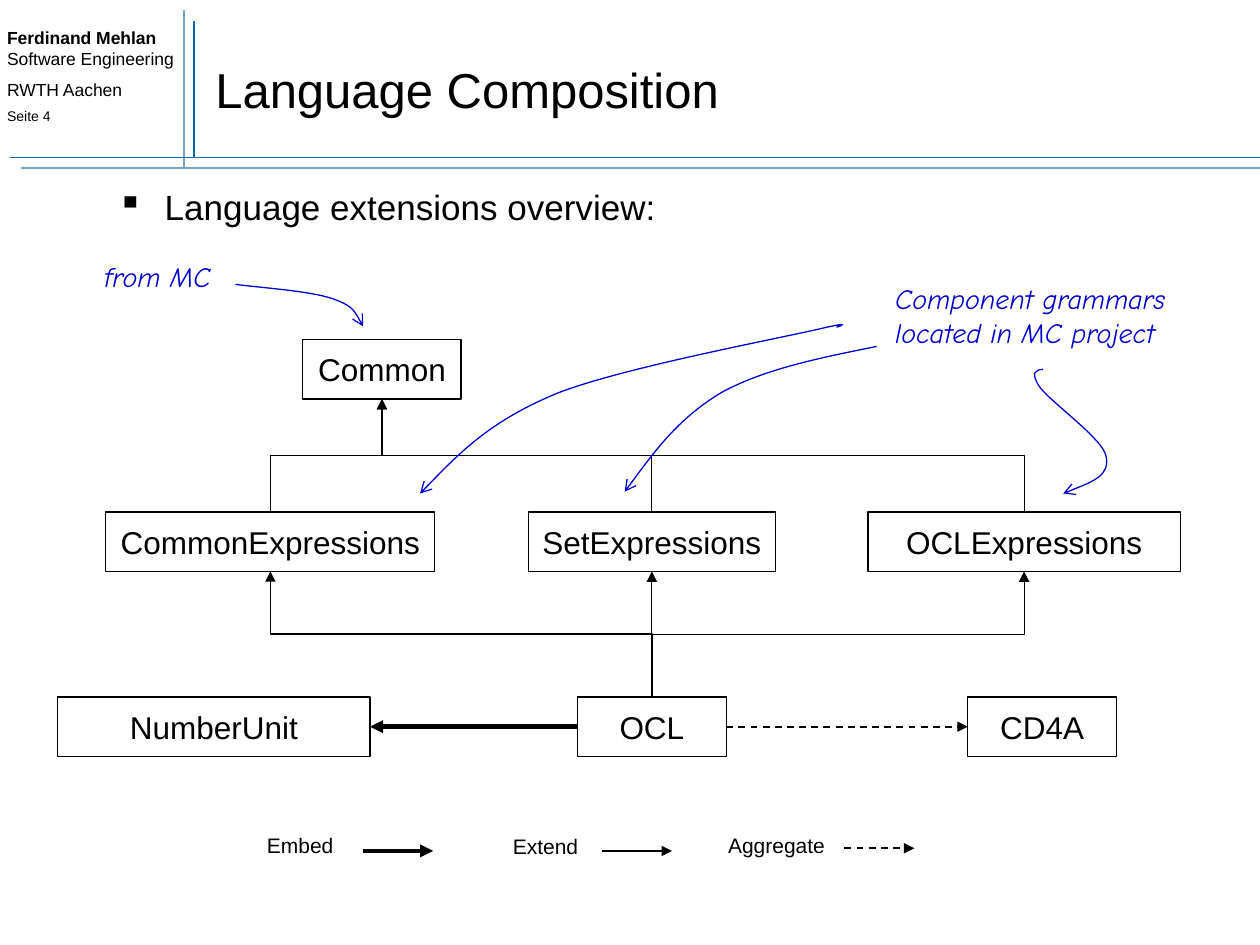
from dataclasses import dataclass
from itertools import chain

from lxml import etree
from pptx import Presentation
from pptx.dml.color import RGBColor
from pptx.enum import dml, shapes, text
from pptx.oxml import ns
from pptx.util import Pt


@dataclass(frozen=True)
class Theme:
    font: str = "Arial"
    note_font: str = "Comic Neue"
    black: RGBColor = RGBColor(0, 0, 0)
    white: RGBColor = RGBColor(255, 255, 255)
    note: RGBColor = RGBColor(0, 0, 0xCC)
    rule_dark: RGBColor = RGBColor(0, 0x67, 0xA6)
    rule_light: RGBColor = RGBColor(0x77, 0x9E, 0xC9)
    title: float = 28
    body: float = 20
    node: float = 18
    remark: float = 16
    legend: float = 12
    small: float = 10
    tiny: float = 8
    thin: float = 0.75
    medium: float = 1
    thick: float = 2.5


T = Theme()
STRAIGHT = shapes.MSO_CONNECTOR.STRAIGHT
ELBOW = shapes.MSO_CONNECTOR.ELBOW
TOP, LEFT, BOTTOM, RIGHT = range(4)


def add_run(p, words, size, color=T.black, font=T.font, bold=False, italic=False):
    r = p.add_run()
    r.text = words
    f = r.font
    f.name, f.size, f.bold, f.italic = font, Pt(size), bold, italic
    f.color.rgb = color


def add_text(s, box, words, size, anchor=text.MSO_ANCHOR.TOP, **style):
    """Add a wrapped text box and return its first paragraph."""
    tf = s.shapes.add_textbox(*map(Pt, box)).text_frame
    tf.word_wrap = True
    tf.vertical_anchor = anchor
    p = tf.paragraphs[0]
    add_run(p, words, size, **style)
    return p


def style_line(sp, color=T.black, width=T.thin, head=None, dashed=False):
    """Style a connector or curve; head is the arrowhead type at its end."""
    sp.line.color.rgb = color
    sp.line.width = Pt(width)
    if dashed:
        sp.line.dash_style = dml.MSO_LINE.DASH
    if head:
        etree.SubElement(sp.line._get_or_add_ln(), ns.qn("a:tailEnd"), type=head)


def add_line(s, x1, y1, x2, y2, kind=STRAIGHT, **style):
    c = s.shapes.add_connector(kind, *map(Pt, (x1, y1, x2, y2)))
    style_line(c, **style)
    etree.SubElement(c._element.spPr, ns.qn("a:effectLst"))
    return c


def join(s, start, start_side, end, end_side, **style):
    c = add_line(s, 0, 0, 0, 0, head="triangle", **style)
    c.begin_connect(start, start_side)
    c.end_connect(end, end_side)
    return c


def join_elbow(s, start, end):
    """Join the top of start to the bottom of end by a vertical-first elbow."""
    c = join(s, start, TOP, end, BOTTOM, kind=ELBOW)
    x1, y1, x2, y2 = c.begin_x, c.begin_y, c.end_x, c.end_y
    w, h = abs(y2 - y1), abs(x2 - x1)
    c.left, c.top = (x1 + x2 - w) // 2, (y1 + y2 - h) // 2
    c.width, c.height = w, h
    xfrm = c._element.spPr.find(ns.qn("a:xfrm"))
    xfrm.attrib.pop("flipH", None)
    xfrm.set("rot", str(270 * 60000))
    xfrm.set("flipV", "1" if x2 < x1 else "0")


def add_curve(s, points):
    """Draw a note arrow: a start point, then three points for each Bézier part."""
    points = [(Pt(x), Pt(y)) for x, y in points]
    fb = s.shapes.build_freeform(*points[0])
    fb.add_line_segments(points[1:], close=False)
    sp = fb.convert_to_shape()
    sp.shadow.inherit = False
    sp.fill.background()
    style_line(sp, color=T.note, head="arrow")
    segments = list(sp._element.iter(ns.qn("a:lnTo")))
    for i in range(0, len(segments), 3):
        bezier = etree.Element(ns.qn("a:cubicBezTo"))
        segments[i].addprevious(bezier)
        for seg in segments[i:i + 3]:
            bezier.append(seg[0])
            seg.getparent().remove(seg)


def add_node(s, box, name):
    sp = s.shapes.add_shape(shapes.MSO_SHAPE.RECTANGLE, *map(Pt, box))
    sp.shadow.inherit = False
    sp.fill.background()
    style_line(sp)
    tf = sp.text_frame
    tf.word_wrap = False
    tf.vertical_anchor = text.MSO_ANCHOR.MIDDLE
    p = tf.paragraphs[0]
    p.alignment = text.PP_ALIGN.CENTER
    add_run(p, name, T.node)
    return sp


def add_header(s, box):
    x, y, w, h = box
    p = add_text(s, (x - 3, y + 12, 110.5, 64), "Ferdinand Mehlan ", T.small, bold=True)
    add_run(p, "Software Engineering", T.small)
    tf = s.shapes[-1].text_frame
    for words, size, gap in (("RWTH Aachen", T.small, 5.5), ("Seite 4", T.tiny, 4.5)):
        p = tf.add_paragraph()
        p.space_before = Pt(gap)
        add_run(p, words, size)

    bottom, right = y + h, x + w
    for color, line in (
        (T.rule_dark, (x + 111, bottom - 6, x + 111, y + 12)),
        (T.rule_light, (x + 105, bottom, x + 105, y + 6)),
        (T.rule_dark, (x + 6, bottom - 6, right, bottom - 6)),
        (T.rule_light, (x + 12, bottom, right, bottom)),
    ):
        add_line(s, *line, color=color, width=T.medium)
    add_text(s, (x + 116, y + 18, w - 125, 66), "Language Composition", T.title,
             anchor=text.MSO_ANCHOR.MIDDLE)


def add_bullet(s, box):
    p = add_text(s, box, "Language extensions overview:", T.body)
    pPr = p._p.get_or_add_pPr()
    pPr.set("marL", str(Pt(27)))
    pPr.set("indent", str(-Pt(27)))
    etree.SubElement(pPr, ns.qn("a:buChar"), char="▪")


def add_diagram(s, box):
    x, y, _, _ = box
    height = 34
    rows = {"base": y, "middle": y + 98.5, "bottom": y + 204.25}
    nodes = {
        name: add_node(s, (x + left, rows[row], width, height), name)
        for name, row, left, width in (
            ("Common", "base", 140, 90.5),
            ("CommonExpressions", "middle", 27.5, 188),
            ("SetExpressions", "middle", 269, 141),
            ("OCLExpressions", "middle", 463, 178.5),
            ("NumberUnit", "bottom", 0, 178.5),
            ("OCL", "bottom", 297, 85),
            ("CD4A", "bottom", 520, 85),
        )
    }
    ocl, sets = nodes["OCL"], nodes["SetExpressions"]
    join(s, ocl, TOP, sets, BOTTOM)
    for name in ("CommonExpressions", "OCLExpressions"):
        join_elbow(s, ocl, nodes[name])
        join_elbow(s, nodes[name], nodes["Common"])
    bus_y = (rows["base"] + height + rows["middle"]) / 2
    add_line(s, x + 339.5, bus_y, x + 339.5, rows["middle"]).end_connect(sets, TOP)
    join(s, ocl, LEFT, nodes["NumberUnit"], RIGHT, width=T.thick)
    join(s, ocl, RIGHT, nodes["CD4A"], LEFT, width=T.medium, dashed=True)


def add_legend(s, box):
    x, y, _, h = box
    for words, left, drop, arrow_x, arrow_y, style in (
        ("Embed", 0, 0, 62, 14, {"width": T.thick}),
        ("Extend", 140.5, 0.75, 198.5, 14, {"width": T.medium}),
        ("Aggregate", 263.5, 0, 337, 12.5, {"width": T.medium, "dashed": True}),
    ):
        add_text(s, (x + left, y + drop, 102, h), words, T.legend)
        add_line(s, x + arrow_x, y + arrow_y, x + arrow_x + 40, y + arrow_y,
                 head="triangle", **style)


def add_note(s, box, words, curves):
    """Add a handwritten remark and its curved arrows, relative to the box."""
    x, y, _, _ = box
    add_text(s, box, words, T.remark, color=T.note, font=T.note_font, italic=True)
    for curve in curves:
        add_curve(s, [(x + dx, y + dy) for dx, dy in curve])


def main():
    prs = Presentation()
    prs.slide_width, prs.slide_height = Pt(720), Pt(540)
    s = prs.slides.add_slide(prs.slide_layouts[6])
    s.background.fill.solid()
    s.background.fill.fore_color.rgb = T.white
    add_header(s, (0, 0, 720, 96))
    add_bullet(s, (60, 102.5, 648, 426))
    add_diagram(s, (33, 194, 641.5, 238))
    add_legend(s, (145.5, 472.25, 377, 22))
    add_note(s, (52.5, 144.5, 90, 27), "from MC", [
        [(82, 18), (103, 20.5), (125, 22), (137, 26), (148.5, 30), (152, 35.5), (155, 42)],
    ])
    add_note(s, (504.5, 157.5, 194, 46), "Component grammars located in MC project", [
        [(-26.5, 29.5), (-16.5, 26), (-32, 29.5), (-32, 29.5), (-59, 36), (-146.5, 52),
         (-185.5, 67), (-224.5, 83), (-244.5, 104), (-264.5, 124.5)],
        [(-3.5, 40.5), (-36, 47), (-68, 53.5), (-92.5, 67), (-116.5, 81.5),
         (-132, 102.5), (-147.5, 123.5)],
        [(91.5, 53.5), (87.5, 54), (84, 55), (89.5, 63.5), (95.5, 72), (125.5, 93),
         (127.5, 103), (130, 114), (117, 119), (103, 124.5)],
    ])
    prs.save("out.pptx")


if __name__ == "__main__":
    main()
